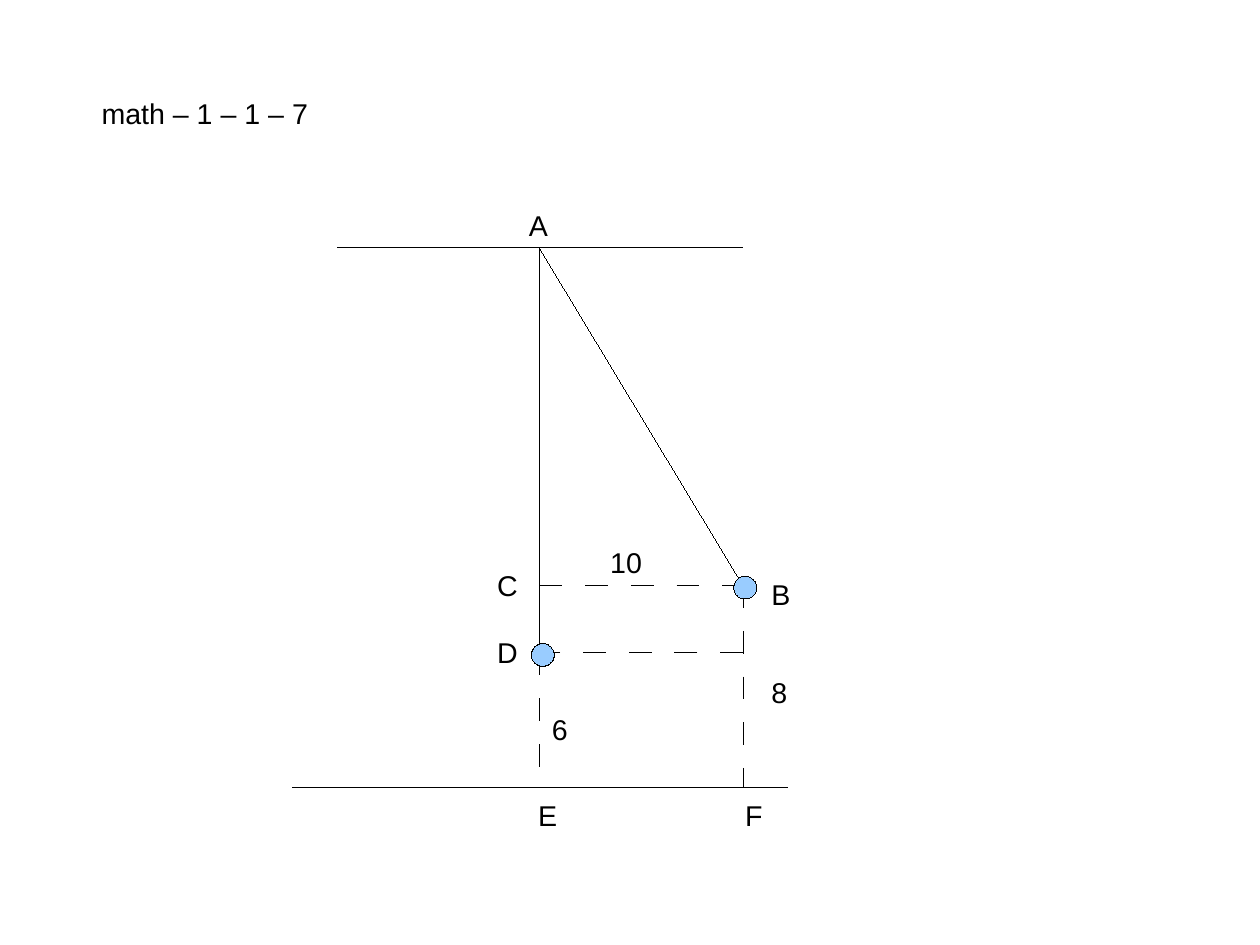
from lxml import etree
from pptx import Presentation
from pptx.dml.color import RGBColor
from pptx.enum.shapes import MSO_CONNECTOR, MSO_SHAPE
from pptx.enum.text import MSO_AUTO_SIZE
from pptx.oxml.ns import qn
from pptx.util import Inches, Pt

STRAIGHT = MSO_CONNECTOR.STRAIGHT
OVAL = MSO_SHAPE.OVAL
FIT_SHAPE = MSO_AUTO_SIZE.SHAPE_TO_FIT_TEXT
COLORS = {"ink": "000000", "bob": "99CCFF"}
CM_PER_INCH = 2.54


def write_text(frame, text, font="Arial", size=18, color="ink"):
    run = frame.paragraphs[0].add_run()
    run.text = text
    run.font.name = font
    run.font.size = Pt(size)
    run.font.color.rgb = RGBColor.from_string(COLORS[color])


class PendulumDiagram:
    """Draws the lines, bobs and labels of a pendulum sketch on one slide."""

    hairline = 0
    dashed_width = 0.25
    dash_percent = 5640000
    bob_size = 0.2
    label_height = 0.38

    def __init__(self, slide):
        self.slide = slide

    def outline(self, line, width):
        line.color.rgb = RGBColor.from_string(COLORS["ink"])
        properties = line._get_or_add_ln()
        properties.set("w", str(int(Pt(width))))
        return properties

    def segment(self, start, end, dashed=False):
        connector = self.slide.shapes.add_connector(
            STRAIGHT, *(Inches(v) for v in (*start, *end)))
        properties = self.outline(
            connector.line, self.dashed_width if dashed else self.hairline)
        if dashed:
            pattern = etree.SubElement(properties, qn("a:custDash"))
            etree.SubElement(pattern, qn("a:ds"),
                             d=str(self.dash_percent), sp=str(self.dash_percent))
        etree.SubElement(properties.getparent(), qn("a:effectLst"))

    def bob(self, left, top):
        ball = self.slide.shapes.add_shape(
            OVAL, Inches(left), Inches(top), Inches(self.bob_size), Inches(self.bob_size))
        ball.fill.solid()
        ball.fill.fore_color.rgb = RGBColor.from_string(COLORS["bob"])
        self.outline(ball.line, self.hairline)
        ball.shadow.inherit = False

    def label(self, text, left, top, width):
        frame = self.slide.shapes.add_textbox(
            Inches(left), Inches(top), Inches(width), Inches(self.label_height)).text_frame
        frame.word_wrap = False
        frame.auto_size = FIT_SHAPE
        write_text(frame, text)


def main():
    presentation = Presentation()
    presentation.slide_width = Inches(28 / CM_PER_INCH)
    presentation.slide_height = Inches(21 / CM_PER_INCH)
    diagram = PendulumDiagram(
        presentation.slides.add_slide(presentation.slide_layouts[6]))

    rest_x, swing_x = 4.72, 6.5
    ceiling_y, swing_y, rest_y, floor_y = 2.17, 5.12, 5.71, 6.89
    pivot = (rest_x, ceiling_y)
    rest, swing = (rest_x, rest_y), (swing_x, swing_y)

    diagram.label("math – 1 – 1 – 7", 0.79, 0.79, 2.02)
    for start, end in (
        ((2.95, ceiling_y), (swing_x, ceiling_y)),
        (pivot, rest),
        (pivot, swing),
        ((2.56, floor_y), (6.89, floor_y)),
    ):
        diagram.segment(start, end)
    for start, end in (
        ((rest_x, swing_y), swing),
        (swing, (swing_x, floor_y)),
        ((swing_x, rest_y), rest),
        (rest, (rest_x, floor_y)),
    ):
        diagram.segment(start, end, dashed=True)

    for text, left, top, width in (
        ("A", 4.53, 1.77, 0.36),
        ("D", 4.25, 5.51, 0.38),
        ("E", 4.61, 6.93, 0.36),
        ("B", 6.65, 5, 0.36),
        ("F", 6.42, 6.93, 0.35),
        ("10", 5.24, 4.72, 0.48),
        ("8", 6.65, 5.86, 0.34),
        ("6", 4.73, 6.18, 0.34),
        ("C", 4.25, 4.92, 0.38),
    ):
        diagram.label(text, left, top, width)

    diagram.bob(4.65, 5.63)
    diagram.bob(6.42, 5.04)
    presentation.save("out.pptx")


if __name__ == "__main__":
    main()
